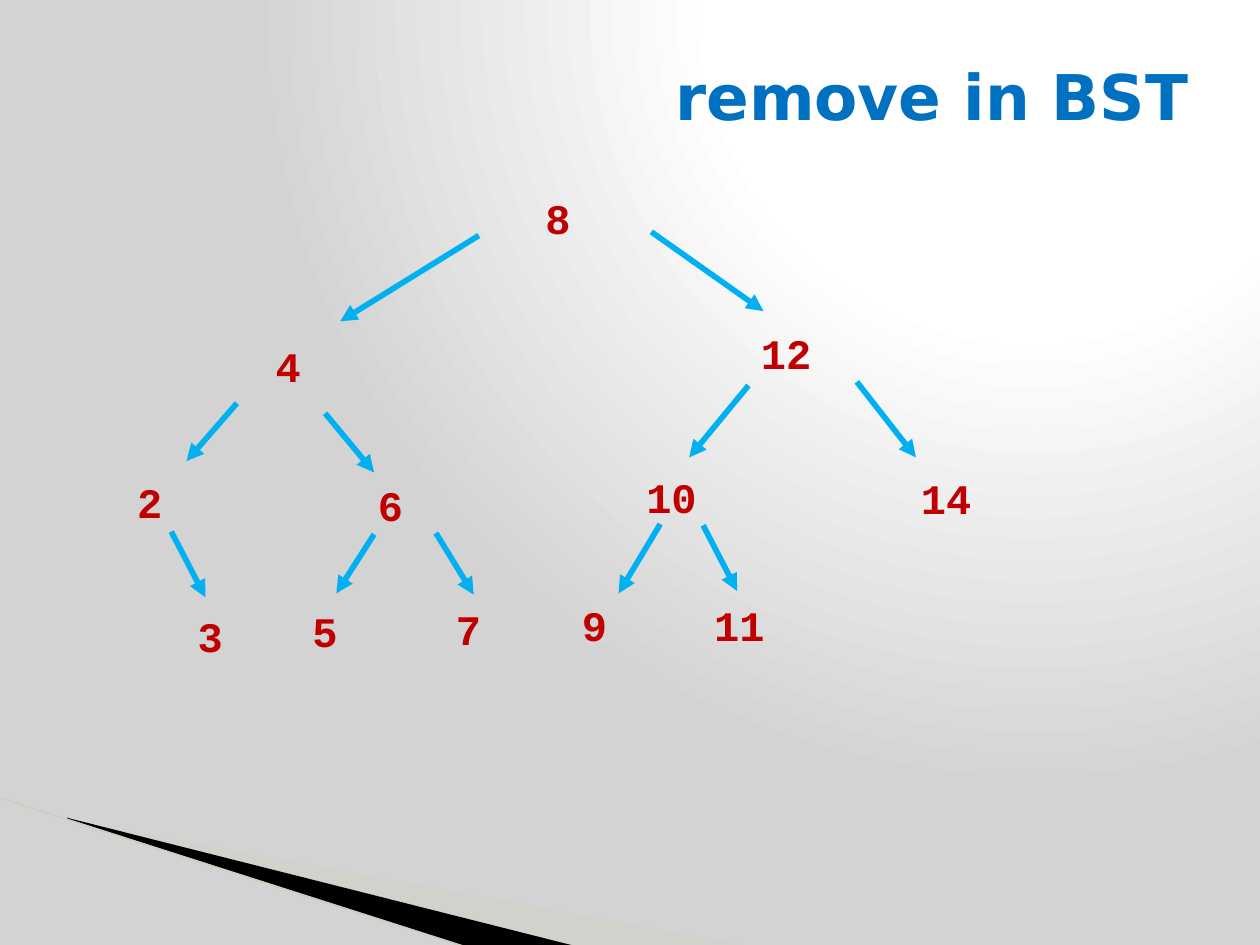
from lxml import etree
from pptx import Presentation
from pptx import util as u
from pptx.dml.color import RGBColor
from pptx.enum import shapes, text
from pptx.oxml import ns, parse_xml

TITLE_BLUE = RGBColor(0x00, 0x70, 0xC0)
ARROW_BLUE = RGBColor(0x00, 0xB0, 0xF0)
NODE_RED = RGBColor(0xC0, 0x00, 0x00)
BLACK = RGBColor(0x00, 0x00, 0x00)
SAGE = RGBColor(0xCB, 0xD4, 0xC0)
SAGE_LINE = RGBColor(0xC6, 0xD0, 0xBB)
WHITE = RGBColor(0xFF, 0xFF, 0xFF)
GREY = RGBColor(0xD3, 0xD3, 0xD3)

BACKGROUND_STOPS = [(0, WHITE), (40, WHITE), (100, GREY)]

SAGE_WEDGE = [(39.6, 468.7), (428.4, 540.7), (328.3, 540.7), (39.6, 468)]
BLACK_WEDGE = [(38.2, 467.3), (329, 540.7), (267.8, 541.4), (38.9, 468)]

NODE_HEIGHT = 36
NODES = [
    ("8", 304.6, 106.6, 41.8),
    ("4", 150.5, 190.8, 41),
    ("12", 427.7, 183.6, 57.6),
    ("2", 71.3, 268.6, 38.9),
    ("6", 208.8, 270.7, 37.4),
    ("10", 362.2, 265.7, 49),
    ("14", 519.1, 266.4, 49),
    ("3", 105.8, 345.6, 37.4),
    ("5", 171.4, 342.7, 34.6),
    ("7", 253.4, 341.3, 32.4),
    ("9", 325.4, 339.1, 37.4),
    ("11", 401, 339.1, 49),
]

EDGES = [
    ((273.6, 134.6), (194.4, 183.6)),
    ((372.2, 132.5), (436.3, 177.8)),
    ((135.4, 230.4), (106.6, 263.5)),
    ((185.8, 236.2), (213.8, 270)),
    ((427.7, 220.3), (393.8, 261.4)),
    ((489.6, 218.2), (523.4, 261.4)),
    ((97.9, 303.8), (117.4, 341.3)),
    ((213.8, 305.3), (192.2, 339.1)),
    ((249.1, 304.6), (270.7, 339.8)),
    ((377.3, 299.5), (353.5, 339.1)),
    ((401.8, 300.2), (421.2, 337.7)),
]


def set_background(slide):
    slide.background.fill.gradient()
    gradient = slide.element.find(".//" + ns.qn("a:gradFill"))
    stops = "".join(
        f'<a:gs pos="{percent * 1000}"><a:srgbClr val="{color}"/></a:gs>'
        for percent, color in BACKGROUND_STOPS
    )
    radial = parse_xml(
        f'<a:gradFill {ns.nsdecls("a")} rotWithShape="1"><a:gsLst>{stops}</a:gsLst>'
        '<a:path path="circle"><a:fillToRect l="65000" t="0" r="0" b="98000"/></a:path>'
        "</a:gradFill>"
    )
    gradient.getparent().replace(gradient, radial)


def add_wedge(slide, points, color, opacity=100):
    corners = [(u.Pt(x), u.Pt(y)) for x, y in points]
    builder = slide.shapes.build_freeform(*corners[0])
    builder.add_line_segments(corners[1:], close=True)
    wedge = builder.convert_to_shape()
    wedge.shadow.inherit = False
    wedge.fill.solid()
    wedge.fill.fore_color.rgb = color
    wedge.line.fill.background()
    if opacity < 100:
        fill_color = wedge.element.spPr.find(".//" + ns.qn("a:srgbClr"))
        etree.SubElement(fill_color, ns.qn("a:alpha"), val=str(opacity * 1000))


def add_line(slide, start, end, color, width, arrow=False):
    ends = [u.Pt(value) for value in (*start, *end)]
    line = slide.shapes.add_connector(shapes.MSO_CONNECTOR.STRAIGHT, *ends)
    line.line.color.rgb = color
    line.line.width = u.Pt(width)
    if arrow:
        outline = line.element.spPr.find(ns.qn("a:ln"))
        etree.SubElement(outline, ns.qn("a:tailEnd"), type="triangle")
    etree.SubElement(line.element.spPr, ns.qn("a:effectLst"))


def add_label(slide, wording, box, font_name, size, color):
    label = slide.shapes.add_textbox(*[u.Pt(value) for value in box])
    frame = label.text_frame
    frame.word_wrap = True
    frame.text = wording
    font = frame.paragraphs[0].runs[0].font
    font.name = font_name
    font.size = u.Pt(size)
    font.bold = True
    font.color.rgb = color
    return frame


def add_title(slide, wording):
    frame = add_label(slide, wording, (38.2, 9.4, 648, 90), "DejaVu Sans", 36, TITLE_BLUE)
    frame.vertical_anchor = text.MSO_ANCHOR.MIDDLE
    frame.paragraphs[0].alignment = text.PP_ALIGN.RIGHT


def main():
    presentation = Presentation()
    presentation.slide_width = u.Pt(720)
    presentation.slide_height = u.Pt(540)
    slide = presentation.slides.add_slide(presentation.slide_layouts[6])

    set_background(slide)
    add_wedge(slide, SAGE_WEDGE, SAGE, opacity=40)
    add_wedge(slide, BLACK_WEDGE, BLACK)
    add_line(slide, (-0.7, 455.8), (267.1, 541.4), SAGE_LINE, 0.95)

    add_title(slide, "remove in BST")
    for start, end in EDGES:
        add_line(slide, start, end, ARROW_BLUE, 3.25, arrow=True)
    for value, left, top, width in NODES:
        add_label(slide, value, (left, top, width, NODE_HEIGHT), "Courier New", 24, NODE_RED)

    presentation.save("out.pptx")


if __name__ == "__main__":
    main()
